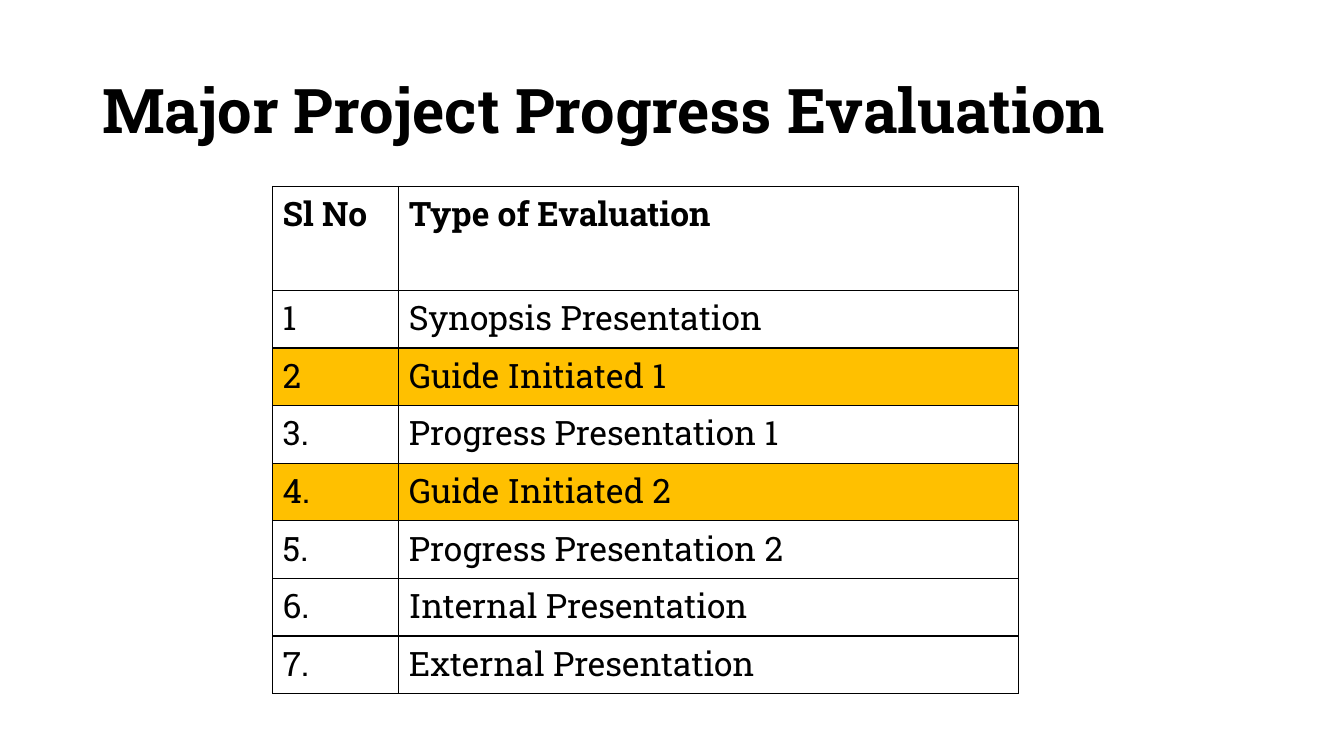
from lxml.etree import SubElement
from pptx import Presentation
from pptx.dml.color import RGBColor
from pptx.enum.text import MSO_ANCHOR
from pptx.oxml.ns import qn
from pptx.util import Cm, Pt

FONT = "Roboto Slab"
BLACK = "000000"
AMBER = "FFC000"
HEADINGS = ("Sl No", "Type of Evaluation")
EVALUATIONS = [
    ("1", "Synopsis Presentation"),
    ("2", "Guide Initiated 1"),
    ("3.", "Progress Presentation 1"),
    ("4.", "Guide Initiated 2"),
    ("5.", "Progress Presentation 2"),
    ("6.", "Internal Presentation"),
    ("7.", "External Presentation"),
]


def color(code):
    """Turn a hex string into a colour."""
    return RGBColor.from_string(code)


def write(frame, text, size, bold):
    """Fill a text frame with one styled paragraph."""
    para = frame.paragraphs[0]
    para.text = text
    para.font.name = FONT
    para.font.size = Pt(size)
    para.font.bold = bold
    para.font.color.rgb = color(BLACK)
    return para


def outline(cell):
    """Draw a thin black border on every side of a cell."""
    properties = cell._tc.get_or_add_tcPr()
    for side in ("lnL", "lnR", "lnT", "lnB"):
        line = SubElement(properties, qn(f"a:{side}"), w=str(Pt(1)))
        fill = SubElement(line, qn("a:solidFill"))
        SubElement(fill, qn("a:srgbClr"), val=BLACK)


def add_title(page, left, top, width, height):
    """Place the slide title, centred vertically in its box."""
    frame = page.shapes.add_textbox(Cm(left), Cm(top), Cm(width), Cm(height)).text_frame
    frame.word_wrap = True
    frame.vertical_anchor = MSO_ANCHOR.MIDDLE
    write(frame, "Major Project Progress Evaluation", 44, True).line_spacing = 0.9


def add_evaluations(page, left, top, width, height):
    """Place the evaluation table with the guide-initiated rows highlighted."""
    rows = [HEADINGS, *EVALUATIONS]
    number_width, header_height = 3.18, 2.62
    row_height = (height - header_height) / len(EVALUATIONS)
    table = page.shapes.add_table(
        len(rows), len(HEADINGS), Cm(left), Cm(top), Cm(width), Cm(height)
    ).table
    table.first_row = table.horz_banding = False
    table.columns[0].width = Cm(number_width)
    table.columns[1].width = Cm(width - number_width)
    for index, texts in enumerate(rows):
        is_header = index == 0
        table.rows[index].height = Cm(header_height if is_header else row_height)
        for cell, text in zip(table.rows[index].cells, texts):
            write(cell.text_frame, text, 24, is_header)
            outline(cell)
            if texts[1].startswith("Guide"):
                cell.fill.solid()
                cell.fill.fore_color.rgb = color(AMBER)
            else:
                cell.fill.background()


def main():
    """Build the slide and save the deck."""
    deck = Presentation()
    deck.slide_width, deck.slide_height = Cm(33.87), Cm(19.05)
    page = deck.slides.add_slide(deck.slide_layouts[6])
    add_title(page, 2.33, 1.01, 29.21, 3.68)
    add_evaluations(page, 6.87, 4.7, 18.8, 12.78)
    deck.save("out.pptx")


if __name__ == "__main__":
    main()
